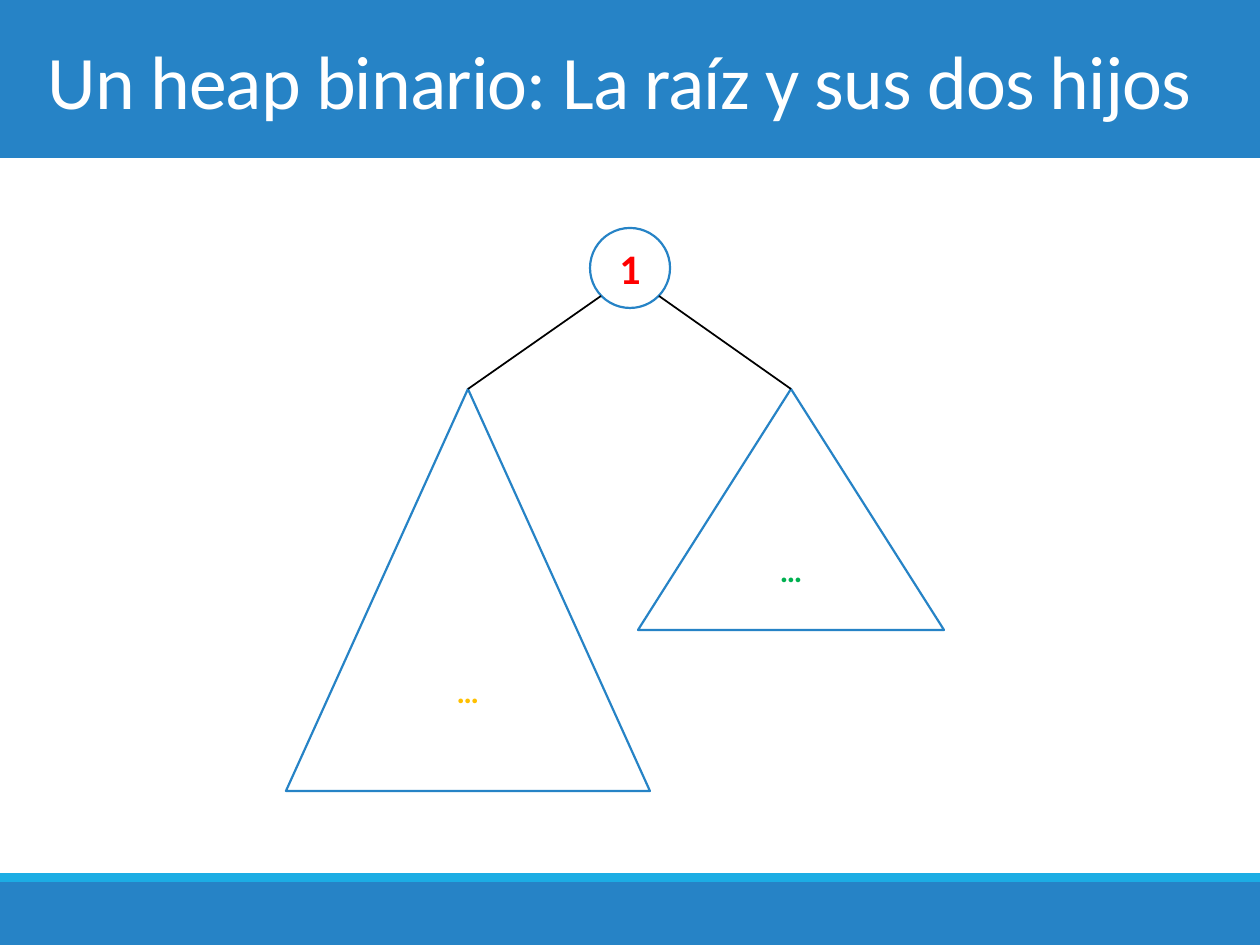
from dataclasses import dataclass

from lxml.etree import SubElement
from pptx import Presentation
from pptx.dml.color import RGBColor as RGB
from pptx.enum.shapes import MSO_CONNECTOR as Link, MSO_SHAPE as Kind
from pptx.enum.text import MSO_ANCHOR as Anchor, MSO_AUTO_SIZE as Auto, PP_ALIGN as Align
from pptx.oxml.ns import qn
from pptx.util import Emu, Pt


@dataclass(frozen=True)
class Theme:
    font: str = "Calibri"
    blue: str = "2683C6"
    cyan: str = "1CADE4"
    white: str = "FFFFFF"
    black: str = "000000"
    red: str = "FF0000"
    green: str = "00B050"
    gold: str = "FFC000"
    head: float = 43.2
    node: int = 24
    tree: int = 18
    edge: float = 1.25
    link: int = 1


look = Theme()
scale = 914400 / 126


def px(*nums):
    return [Emu(round(n * scale)) for n in nums]


def write(shape, text, size, color, bold=False, align=Align.CENTER, space=0):
    frame = shape.text_frame
    frame.word_wrap = True
    frame.auto_size = Auto.NONE
    frame.vertical_anchor = Anchor.MIDDLE
    para = frame.paragraphs[0]
    para.alignment = align
    run = para.add_run()
    run.text = text
    font = run.font
    font.name, font.size, font.bold = look.font, Pt(size), bold
    font.color.rgb = RGB.from_string(color)
    if space:
        run._r.get_or_add_rPr().set("spc", str(round(space * 100)))


deck = Presentation()
deck.slide_width, deck.slide_height = px(1260, 945)
slide = deck.slides.add_slide(deck.slide_layouts[5])
shapes = slide.shapes

for top, high, color in [(0, 158, look.blue), (882, 63, look.blue), (873, 9, look.cyan)]:
    band = shapes.add_shape(Kind.RECTANGLE, *px(0, top, 1260, high))
    band.shadow.inherit = False
    band.fill.solid()
    band.fill.fore_color.rgb = RGB.from_string(color)
    band.line.fill.background()

title = shapes.title
title.left, title.top, title.width, title.height = px(35, 0, 1191, 158)
write(title, "Un heap binario: La raíz y sus dos hijos", look.head, look.white,
      align=Align.LEFT, space=-0.5)
title.element.getparent().append(title.element)

nodes = []
for kind, box, text, size, color in [
    (Kind.OVAL, (590, 228, 80, 80), "1", look.node, look.red),
    (Kind.ISOSCELES_TRIANGLE, (638, 389, 306, 241), "…", look.tree, look.green),
    (Kind.ISOSCELES_TRIANGLE, (286, 389, 364, 402), "…", look.tree, look.gold),
]:
    node = shapes.add_shape(kind, *px(*box))
    node.shadow.inherit = False
    node.fill.solid()
    node.fill.fore_color.rgb = RGB.from_string(look.white)
    node.line.color.rgb = RGB.from_string(look.blue)
    node.line.width = Pt(look.edge)
    write(node, text, size, color, bold=True)
    nodes.append(node)

root, right, left = nodes
for child, start in [(right, 659), (left, 601)]:
    link = shapes.add_connector(Link.STRAIGHT, *px(start, 296, start, 389))
    link.end_connect(child, 0)
    link.line.color.rgb = RGB.from_string(look.black)
    link.line.width = Pt(look.link)
    SubElement(link.element.spPr, qn("a:effectLst"))

deck.save("out.pptx")
